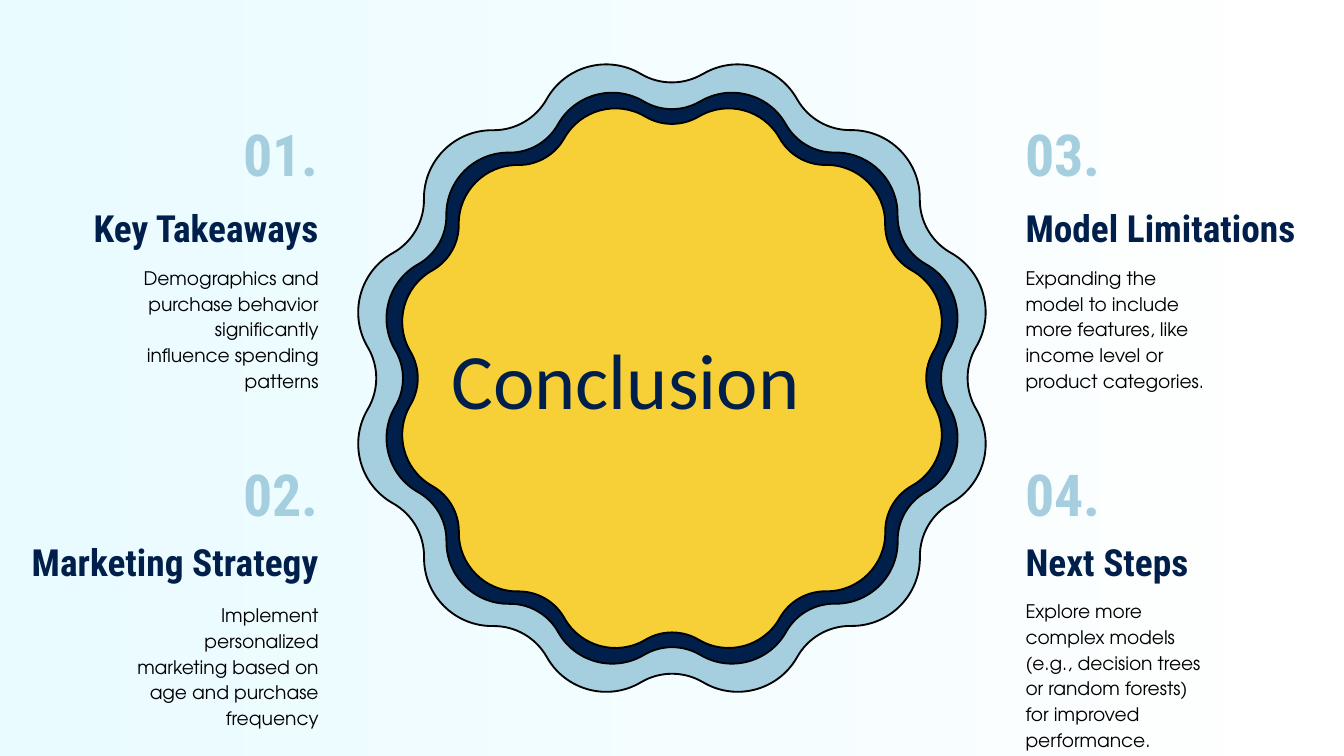
"""Build the conclusion slide: a wavy seal between four numbered points."""
from dataclasses import dataclass
from math import atan2, cos, degrees, radians, sin, tan

from pptx import Presentation
from pptx.dml.color import RGBColor
from pptx.enum.text import MSO_ANCHOR as Anchor, MSO_AUTO_SIZE as Fit, PP_ALIGN as Align
from pptx.oxml.ns import qn
from pptx.oxml.xmlchemy import OxmlElement as Node
from pptx.util import Pt

WIDE, HIGH = 720, 405
MID_X, MID_Y = 360, 202.6
EDGE = 170.6
NAVY, SKY, GOLD, BLACK = "00204B", "A5CEDE", "F7D038", "000000"
HEAD, BODY = "Roboto Condensed", "TeX Gyre Adventor"
LOBES = 12
LOBE_AT, LOBE_R = 136.3, 36.4
DIP_AT, DIP_R = 190.8, 32.4


@dataclass
class Ring:
    scale: float
    fill: str


@dataclass
class Point:
    num: str
    head: str
    body: str
    right: bool
    tops: tuple[float, float, float]
    wides: tuple[float, float, float]
    high: float


RINGS = [Ring(1, SKY), Ring(0.91, NAVY), Ring(0.86, GOLD)]
UPPER, LOWER = (62.6, 109.4, 141.1), (244.8, 288, 319.7)
POINTS = [
    Point("01.", "Key Takeaways",
          "Demographics and purchase behavior significantly influence spending patterns",
          False, UPPER, (76.3, 144, 97.9), 54),
    Point("02.", "Marketing Strategy",
          "Implement personalized marketing based on age and purchase frequency",
          False, (244.8, 288, 321.8), (76.3, 182.2, 108.7), 40.3),
    Point("03.", "Model Limitations",
          "Expanding the model to include more features, like income level or "
          "product categories.",
          True, UPPER, (76.3, 182.2, 97.9), 67.7),
    Point("04.", "Next Steps",
          "Explore more complex models (e.g., decision trees or random forests) "
          "for improved performance.",
          True, LOWER, (76.3, 182.2, 97.9), 82.1),
]


def tint(code: str) -> RGBColor:
    return RGBColor.from_string(code)


def polar(dist: float, turn: float) -> tuple[float, float]:
    return dist * sin(radians(turn)), -dist * cos(radians(turn))


def arc(at: float, axis: float, size: float, start: float,
        end: float) -> list[tuple[float, float]]:
    x, y = polar(at, axis)
    pull = size * 4 / 3 * tan(radians(end - start) / 4)
    ends = []
    for turn, reach in ((axis + start, pull), (axis + end, -pull)):
        dx, dy = polar(size, turn)
        tx, ty = polar(reach, turn + 90)
        ends.append(((x + dx, y + dy), (x + dx + tx, y + dy + ty)))
    (first, out), (last, back) = ends
    return [first, out, back, last]


def outline() -> list[tuple[float, float]]:
    step = 360 / LOBES
    x, y = polar(LOBE_AT, step / 2)
    tilt = degrees(atan2(x, y + DIP_AT))
    sweep = tilt + step / 2
    dots = arc(LOBE_AT, step / 2, LOBE_R, -sweep, sweep)[:1]
    for i in range(LOBES):
        dots += arc(LOBE_AT, (i + 0.5) * step, LOBE_R, -sweep, sweep)[1:]
        dots += arc(DIP_AT, (i + 1) * step, DIP_R, 180 + tilt, 180 - tilt)[1:]
    return dots


def bend(shape) -> None:
    route = shape._element.find(".//" + qn("a:path"))
    lines = route.findall(qn("a:lnTo"))
    for i in range(0, len(lines) - 2, 3):
        curve = Node("a:cubicBezTo")
        lines[i].addprevious(curve)
        for line in lines[i:i + 3]:
            curve.append(line[0])
            route.remove(line)


def draw_ring(shapes, ring: Ring) -> None:
    dots = [(Pt(MID_X + x * ring.scale), Pt(MID_Y + y * ring.scale))
            for x, y in outline()]
    pen = shapes.build_freeform(*dots[0])
    pen.add_line_segments(dots[1:], close=True)
    shape = pen.convert_to_shape()
    bend(shape)
    shape.shadow.inherit = False
    shape.fill.solid()
    shape.fill.fore_color.rgb = tint(ring.fill)
    shape.line.color.rgb = tint(BLACK)
    shape.line.width = Pt(1)


def put_text(box, text: str, *, font: str, size: float, color: str, bold: bool = False,
             align=Align.LEFT, space: float = 1, inset: float = 0,
             fit=Fit.SHAPE_TO_FIT_TEXT) -> None:
    frame = box.text_frame
    frame.word_wrap = True
    frame.auto_size = fit
    frame.vertical_anchor = Anchor.TOP
    frame.margin_left = frame.margin_right = Pt(inset)
    frame.margin_top = frame.margin_bottom = Pt(inset)
    para = frame.paragraphs[0]
    para.alignment = align
    para.line_spacing = space
    run = para.add_run()
    run.text = text
    run.font.name = font
    run.font.size = Pt(size)
    run.font.bold = bold
    run.font.color.rgb = tint(color)


def draw_point(shapes, point: Point) -> None:
    texts = (point.num, point.head, point.body)
    highs = (33.1, 24.5, point.high)
    looks = (
        dict(font=HEAD, size=31, color=SKY, bold=True, space=1.03),
        dict(font=HEAD, size=20, color=NAVY, bold=True, space=1.03),
        dict(font=BODY, size=10, color=BLACK, space=1.15),
    )
    align = Align.LEFT if point.right else Align.RIGHT
    for text, top, wide, high, look in zip(texts, point.tops, point.wides, highs, looks):
        left = WIDE - EDGE if point.right else EDGE - wide
        box = shapes.add_textbox(Pt(left), Pt(top), Pt(wide), Pt(high))
        put_text(box, text, align=align, **look)


def main() -> None:
    deck = Presentation()
    deck.slide_width, deck.slide_height = Pt(WIDE), Pt(HIGH)
    slide = deck.slides.add_slide(deck.slide_layouts[5])
    back = slide.background.fill
    back.gradient()
    back.gradient_angle = 0
    for stop, code in zip(back.gradient_stops, ("E9FBFF", "FFFFFF")):
        stop.color.rgb = tint(code)
    for ring in RINGS:
        draw_ring(slide.shapes, ring)
    for point in POINTS:
        draw_point(slide.shapes, point)
    title = slide.shapes.title
    title.left, title.top = Pt(234.7), Pt(169.9)
    title.width, title.height = Pt(249.8), Pt(65.5)
    put_text(title, "Conclusion", font="Calibri", size=42, color=NAVY, inset=7.2,
             fit=Fit.NONE)
    slide.shapes._spTree.append(title._element)
    deck.save("out.pptx")


if __name__ == "__main__":
    main()
